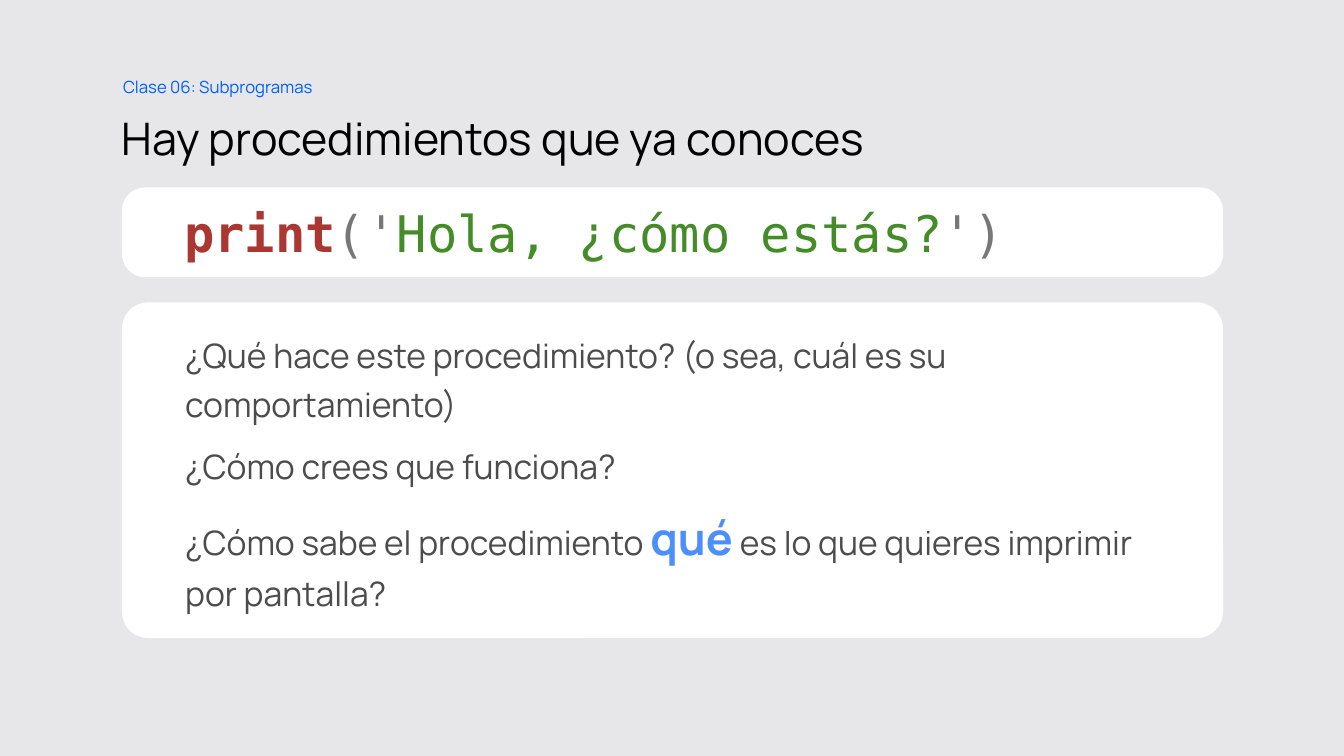
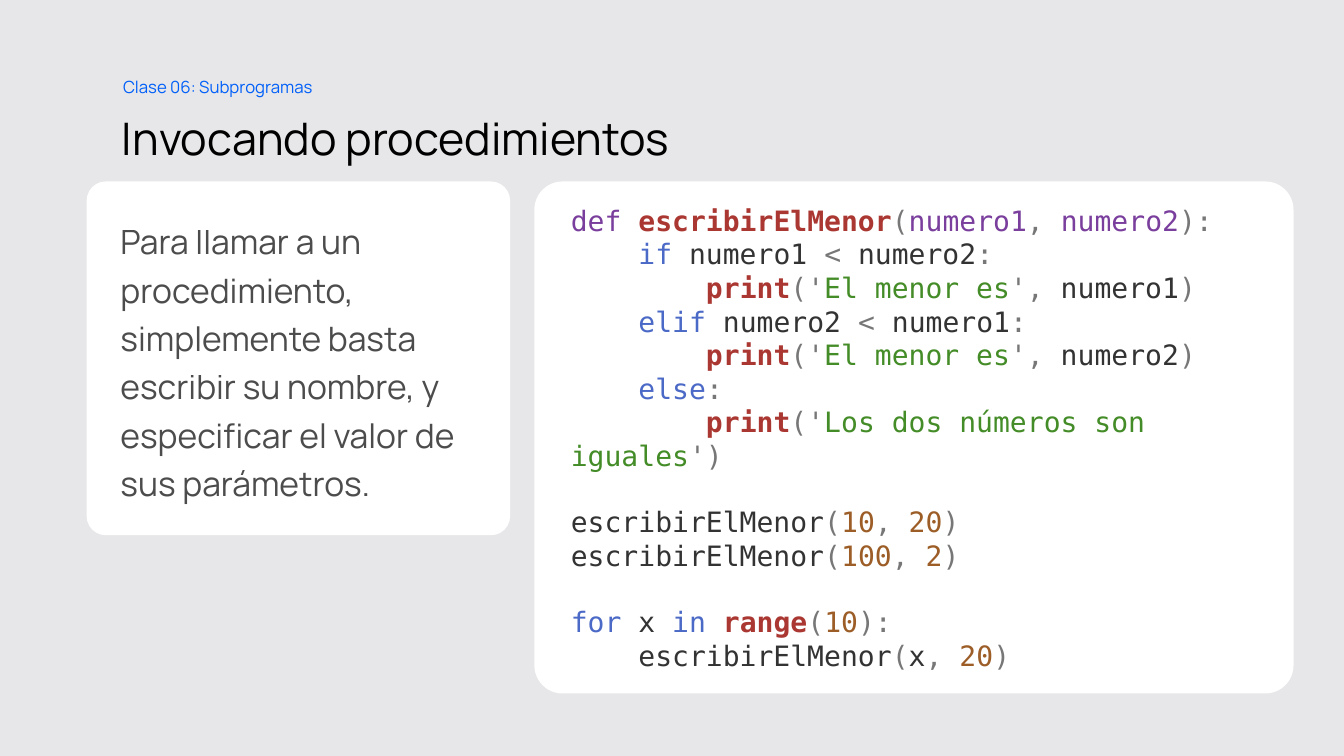
from dataclasses import dataclass
from itertools import groupby

from lxml import etree
from pptx import Presentation
from pptx import util as u
from pptx.dml.color import RGBColor
from pptx.enum import shapes, text
from pptx.oxml.ns import qn

BACKGROUND, WHITE, BLACK, BLUE = "E7E7E9", "FFFFFF", "000000", "005FF9"
SANS, MONO = "Manrope", "DejaVu Sans Mono"

# Syntax colours
PLAIN, SYMBOL, STRING, NUMBER = "333333", "777777", "448C27", "9C5D27"
KEYWORD, DEFINITION, FUNCTION = "4B69C6", "7A3E9D", "AA3731"
KEYWORDS = {"if", "elif", "else", "for", "in"}
BUILTINS = {"print", "range"}

TAG = "Clase 06: Subprogramas"
CODE_LINE = 1.164  # line height of the code font, in font sizes


@dataclass(frozen=True)
class Span:
    text: str
    color: str = BLACK
    size: float = 24
    bold: bool = False
    font: str = SANS
    opacity: int = 70


@dataclass(frozen=True)
class Card:
    left: float
    top: float
    width: float
    height: float
    radius: float
    inset_left: float
    inset_right: float


PRINT_CARD = Card(1.21, 1.86, 10.92, 0.89, 0.23, 0.55, 0.3)
QUESTIONS_CARD = Card(1.21, 3, 10.92, 3.33, 0.26, 0.55, 0.3)
LISTING_CARD = Card(5.3, 1.8, 7.53, 5.08, 0.28, 0.28, 0.2)
EXPLANATION_CARD = Card(0.86, 1.8, 4.2, 3.51, 0.19, 0.28, 0.2)

QUESTIONS = [
    [Span("¿Qué hace este procedimiento? (o sea, cuál es su comportamiento)")],
    [Span("¿Cómo crees que funciona?")],
    [
        Span("¿Cómo sabe el procedimiento "),
        Span("qué", color=BLUE, size=32, bold=True),
        Span(" es lo que quieres imprimir por pantalla?"),
    ],
]
EXPLANATION = [[Span(
    "Para llamar a un procedimiento, simplemente basta escribir su nombre, "
    "y especificar el valor de sus parámetros."
)]]
GREETING = "print('Hola, ¿cómo estás?')"
LISTING = """\
def escribirElMenor(numero1, numero2):
    if numero1 < numero2:
        print('El menor es', numero1)
    elif numero2 < numero1:
        print('El menor es', numero2)
    else:
        print('Los dos números son iguales')

escribirElMenor(10, 20)
escribirElMenor(100, 2)

for x in range(10):
    escribirElMenor(x, 20)"""


def rgb(color: str) -> RGBColor:
    return RGBColor.from_string(color)


def add_span(para, content: str, *, size: float, color: str, font: str = SANS,
             bold: bool = False, opacity: int = 100) -> None:
    span = para.add_run()
    span.text = content
    span.font.name, span.font.size, span.font.bold = font, u.Pt(size), bold
    span.font.color.rgb = rgb(color)
    if opacity < 100:
        shade = span.font._element.find(".//" + qn("a:srgbClr"))
        etree.SubElement(shade, qn("a:alpha"), val=str(opacity * 1000))


def set_frame(frame, anchor, left: float, top: float, right: float,
              bottom: float) -> None:
    frame.word_wrap = True
    frame.auto_size = text.MSO_AUTO_SIZE.NONE
    frame.vertical_anchor = anchor
    frame.margin_left, frame.margin_top = u.Inches(left), u.Inches(top)
    frame.margin_right, frame.margin_bottom = u.Inches(right), u.Inches(bottom)


def add_para(frame, first: bool, line_spacing: float, space_before: float):
    para = frame.paragraphs[0] if first else frame.add_paragraph()
    para.alignment = text.PP_ALIGN.LEFT
    para.line_spacing = line_spacing
    para.space_before = u.Pt(0 if first else space_before)
    return para


def token_color(token: str, in_definition: bool) -> str:
    if token.isdigit():
        return NUMBER
    if not token.strip() or token in KEYWORDS:
        return KEYWORD if token.strip() else PLAIN
    if not token.isalnum():
        return SYMBOL
    if token in BUILTINS:
        return FUNCTION
    return DEFINITION if in_definition else PLAIN


def highlight(line: str) -> list[tuple[str, str]]:
    """Split a line of code into (token, colour) pairs."""
    in_definition = line.startswith("def ")
    defined = line[4:line.index("(")] if in_definition else None
    tokens = []
    for index, part in enumerate(line.split("'")):
        if index:
            tokens.append(("'", SYMBOL))
        if index % 2:
            tokens.append((part, STRING))
            continue
        for _, group in groupby(part, lambda c: (c.isalnum(), c.isspace())):
            token = "".join(group)
            color = (FUNCTION if token == defined
                     else token_color(token, in_definition))
            tokens.append((token, color))
    return tokens


def add_card(page, card: Card):
    """Draw a rounded white card and return its text frame."""
    box = page.shapes.add_shape(
        shapes.MSO_SHAPE.ROUNDED_RECTANGLE, u.Inches(card.left),
        u.Inches(card.top), u.Inches(card.width), u.Inches(card.height))
    box.adjustments[0] = card.radius / min(card.width, card.height)
    box.shadow.inherit = False
    box.fill.solid()
    box.fill.fore_color.rgb = rgb(WHITE)
    box.line.fill.background()
    set_frame(box.text_frame, text.MSO_ANCHOR.MIDDLE,
              card.inset_left, 0, card.inset_right, 0)
    return box.text_frame


def add_prose_card(page, card: Card, paragraphs: list[list[Span]]) -> None:
    frame = add_card(page, card)
    for index, spans in enumerate(paragraphs):
        para = add_para(frame, index == 0, 1.2, 10)
        for span in spans:
            add_span(para, span.text, size=span.size, color=span.color,
                     font=span.font, bold=span.bold, opacity=span.opacity)


def add_code_card(page, card: Card, code: str, size: float) -> None:
    """Draw highlighted code; a blank line becomes space before the next."""
    frame = add_card(page, card)
    gap = 0.0
    for index, line in enumerate(code.splitlines()):
        if not line:
            gap = round(size * CODE_LINE, 1)
            continue
        para = add_para(frame, index == 0, 1, gap)
        gap = 0.0
        for token, color in highlight(line):
            add_span(para, token, size=size, color=color, font=MONO,
                     bold=color == FUNCTION)


def style_template(deck):
    """Set the shared background and title place; return the layout."""
    fill = deck.slide_master.background.fill
    fill.solid()
    fill.fore_color.rgb = rgb(BACKGROUND)
    layout = deck.slide_layouts.get_by_name("Title Only")
    title = layout.placeholders[0]
    title.left, title.top = u.Inches(1.21), u.Inches(1)
    title.width, title.height = u.Inches(10.85), u.Inches(0.75)
    return layout


def add_page(deck, layout, title: str):
    page = deck.slides.add_slide(layout)
    frame = page.shapes.title.text_frame
    set_frame(frame, text.MSO_ANCHOR.MIDDLE, 0, 0.1, 0.1, 0.05)
    add_span(add_para(frame, True, 0.9, 0), title, size=32, color=BLACK)

    tag = page.shapes.add_textbox(
        u.Inches(1.22), u.Inches(0.67), u.Inches(2.19), u.Inches(0.34))
    set_frame(tag.text_frame, text.MSO_ANCHOR.TOP, 0, 0.05, 0.1, 0.05)
    add_span(add_para(tag.text_frame, True, 1.2, 0), TAG, size=12, color=BLUE)
    return page


def main() -> None:
    deck = Presentation()
    deck.slide_width, deck.slide_height = u.Inches(13.33), u.Inches(7.5)
    layout = style_template(deck)

    page = add_page(deck, layout, "Hay procedimientos que ya conoces")
    add_code_card(page, PRINT_CARD, GREETING, 36)
    add_prose_card(page, QUESTIONS_CARD, QUESTIONS)

    page = add_page(deck, layout, "Invocando procedimientos")
    add_code_card(page, LISTING_CARD, LISTING, 20)
    add_prose_card(page, EXPLANATION_CARD, EXPLANATION)

    deck.save("out.pptx")


if __name__ == "__main__":
    main()
